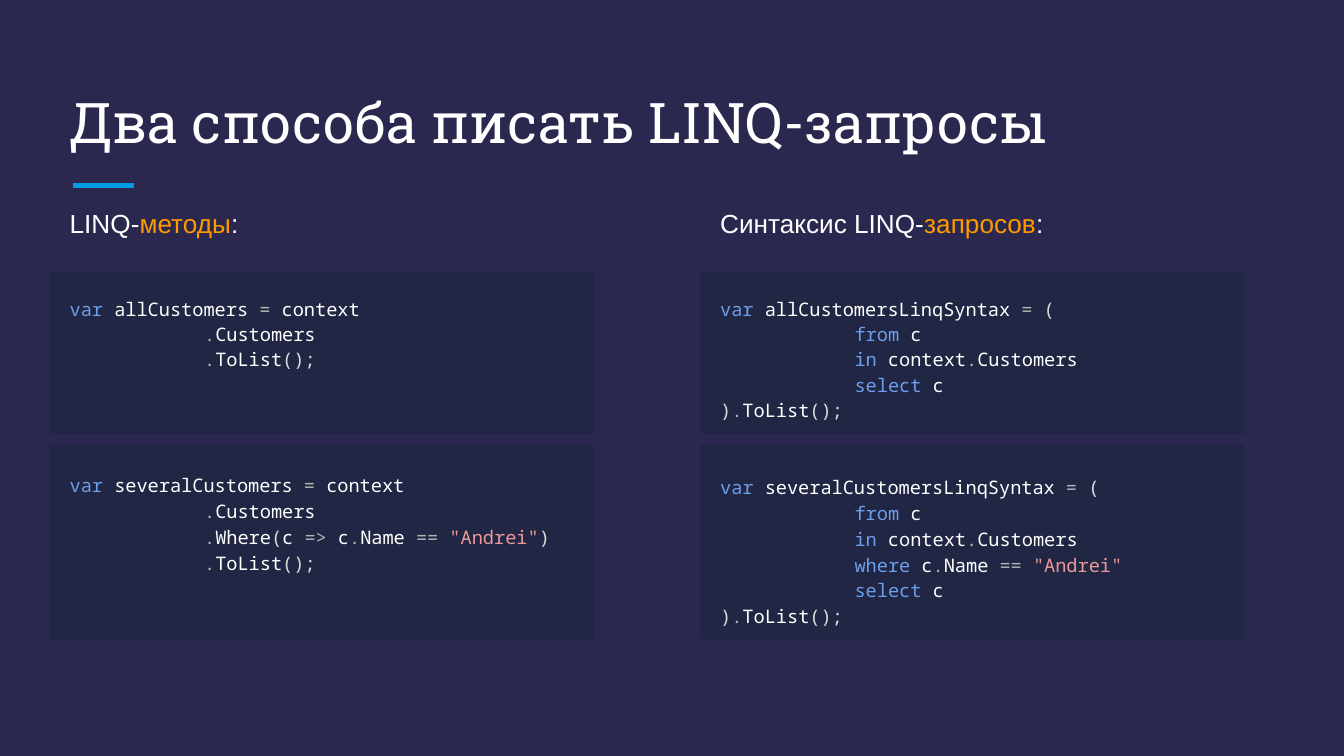
from lxml.etree import SubElement
from pptx import Presentation
from pptx.dml.color import RGBColor
from pptx.enum.shapes import MSO_CONNECTOR, MSO_SHAPE
from pptx.enum.text import MSO_ANCHOR
from pptx.oxml.ns import qn
from pptx.util import Inches, Pt

BACKGROUND = RGBColor(0x2A, 0x28, 0x4F)
PANEL = RGBColor(0x20, 0x26, 0x43)
ACCENT = RGBColor(0x03, 0x9B, 0xE5)
WHITE = RGBColor(0xFF, 0xFF, 0xFF)
ORANGE = RGBColor(0xFF, 0x99, 0x00)
KEYWORD = RGBColor(0x6D, 0x9E, 0xEB)
OPERATOR = RGBColor(0xB4, 0xB4, 0xB4)
BRACKET = RGBColor(0xDC, 0xDC, 0xDC)
STRING = RGBColor(0xEA, 0x99, 0x99)

# Grid in inches: two equal columns, two rows given as (top, height)
COLUMN_LEFT, COLUMN_PITCH = 0.37, 4.84
PANEL_WIDTH = 4.05
ROWS = ((2.02, 1.21), (3.31, 1.45))
TEXT_INDENT = 0.05

# Code pieces that recur; each piece is (text, colour)
TAB = ("\t", BRACKET)
DOT = (".", OPERATOR)
VAR = ("var ", KEYWORD)
ASSIGN = ("= ", OPERATOR)
NAME_TEST = [("c", WHITE), DOT, ("Name", WHITE), (" == ", OPERATOR), ('"Andrei"', STRING)]
TO_LIST = [DOT, ("ToList", WHITE), ("();", BRACKET)]
CUSTOMERS = [DOT, ("Customers", WHITE)]
FROM_IN = [
    [TAB, ("from ", KEYWORD), ("c", WHITE)],
    [TAB, ("in ", KEYWORD), ("context", WHITE), *CUSTOMERS],
]
SELECT_END = [
    [TAB, ("select ", KEYWORD), ("c", WHITE)],
    [(")", BRACKET), *TO_LIST],
]


def method_query(name, *filters):
    start = [VAR, (name + " ", WHITE), ASSIGN, ("context", WHITE)]
    return [start, [TAB, *CUSTOMERS], *filters, [TAB, *TO_LIST]]


def syntax_query(name, *filters):
    start = [VAR, (name + " ", WHITE), ASSIGN, ("(", BRACKET)]
    return [start, *FROM_IN, *filters, *SELECT_END]


METHOD_FILTER = [TAB, DOT, ("Where", WHITE), ("(", BRACKET), ("c ", WHITE),
                 ("=> ", OPERATOR), *NAME_TEST, (")", BRACKET)]
SYNTAX_FILTER = [TAB, ("where ", KEYWORD), *NAME_TEST]

# Each column: heading, then blocks of (space before, line spacing, lines)
COLUMNS = (
    ([("LINQ-", WHITE), ("методы", ORANGE), (":", WHITE)],
     [(30.4, 1.12, method_query("allCustomers")),
      (53.8, 1.15, method_query("severalCustomers", METHOD_FILTER))]),
    ([("Синтаксис LINQ-", WHITE), ("запросов", ORANGE), (":", WHITE)],
     [(30.2, 1.13, syntax_query("allCustomersLinqSyntax")),
      (27.5, 1.15, syntax_query("severalCustomersLinqSyntax", SYNTAX_FILTER))]),
)


def add_text_box(slide, left, top, width, height):
    box = slide.shapes.add_textbox(*map(Inches, (left, top, width, height)))
    frame = box.text_frame
    frame.word_wrap = True
    frame.margin_left = frame.margin_right = Inches(0.1)
    frame.margin_top = frame.margin_bottom = Inches(0.1)
    return frame


def set_font(paragraph, name, size):
    paragraph.font.name = name
    paragraph.font.size = Pt(size)


def add_pieces(paragraph, pieces):
    for text, color in pieces:
        run = paragraph.add_run()
        run.text = text
        run.font.color.rgb = color


def add_tab_stop(paragraph, position):
    tabs = SubElement(paragraph._p.get_or_add_pPr(), qn("a:tabLst"))
    SubElement(tabs, qn("a:tab"), pos=str(Inches(position)), algn="l")


def add_title(slide, text):
    frame = add_text_box(slide, 0.42, 0.5, 9.15, 0.75)
    frame.vertical_anchor = MSO_ANCHOR.BOTTOM
    paragraph = frame.paragraphs[0]
    paragraph.text = text
    set_font(paragraph, "Roboto Slab", 30)
    paragraph.font.color.rgb = WHITE


def add_accent_line(slide):
    line = slide.shapes.add_connector(
        MSO_CONNECTOR.STRAIGHT, Inches(0.54), Inches(1.38), Inches(1), Inches(1.38))
    line.line.color.rgb = ACCENT
    line.line.width = Pt(3)
    SubElement(line._element.spPr, qn("a:effectLst"))


def add_panel(slide, left, top, height):
    panel = slide.shapes.add_shape(
        MSO_SHAPE.RECTANGLE, *map(Inches, (left, top, PANEL_WIDTH, height)))
    panel.shadow.inherit = False
    panel.fill.solid()
    panel.fill.fore_color.rgb = PANEL
    panel.line.fill.background()


def add_column_text(slide, left, heading, blocks):
    frame = add_text_box(slide, left + TEXT_INDENT, 1.41, 4.31, 4.21)
    paragraph = frame.paragraphs[0]
    paragraph.line_spacing = 1.13
    set_font(paragraph, "Arial", 14)
    add_pieces(paragraph, heading)
    for gap, spacing, lines in blocks:
        for index, pieces in enumerate(lines):
            paragraph = frame.add_paragraph()
            paragraph.line_spacing = spacing
            if index == 0:
                paragraph.space_before = Pt(gap)
            if TAB in pieces:
                add_tab_stop(paragraph, 1)
            set_font(paragraph, "Noto Sans Mono", 10)
            add_pieces(paragraph, pieces)


def main():
    # Widescreen slide, 16 to 9
    presentation = Presentation()
    presentation.slide_width = Inches(10)
    presentation.slide_height = Inches(10) * 9 // 16
    slide = presentation.slides.add_slide(presentation.slide_layouts[6])
    slide.background.fill.solid()
    slide.background.fill.fore_color.rgb = BACKGROUND

    add_accent_line(slide)
    add_title(slide, "Два способа писать LINQ-запросы")

    # Code panels with their text on top
    for column, (heading, blocks) in enumerate(COLUMNS):
        left = COLUMN_LEFT + column * COLUMN_PITCH
        for top, height in ROWS:
            add_panel(slide, left, top, height)
        add_column_text(slide, left, heading, blocks)

    presentation.save("out.pptx")


if __name__ == "__main__":
    main()
